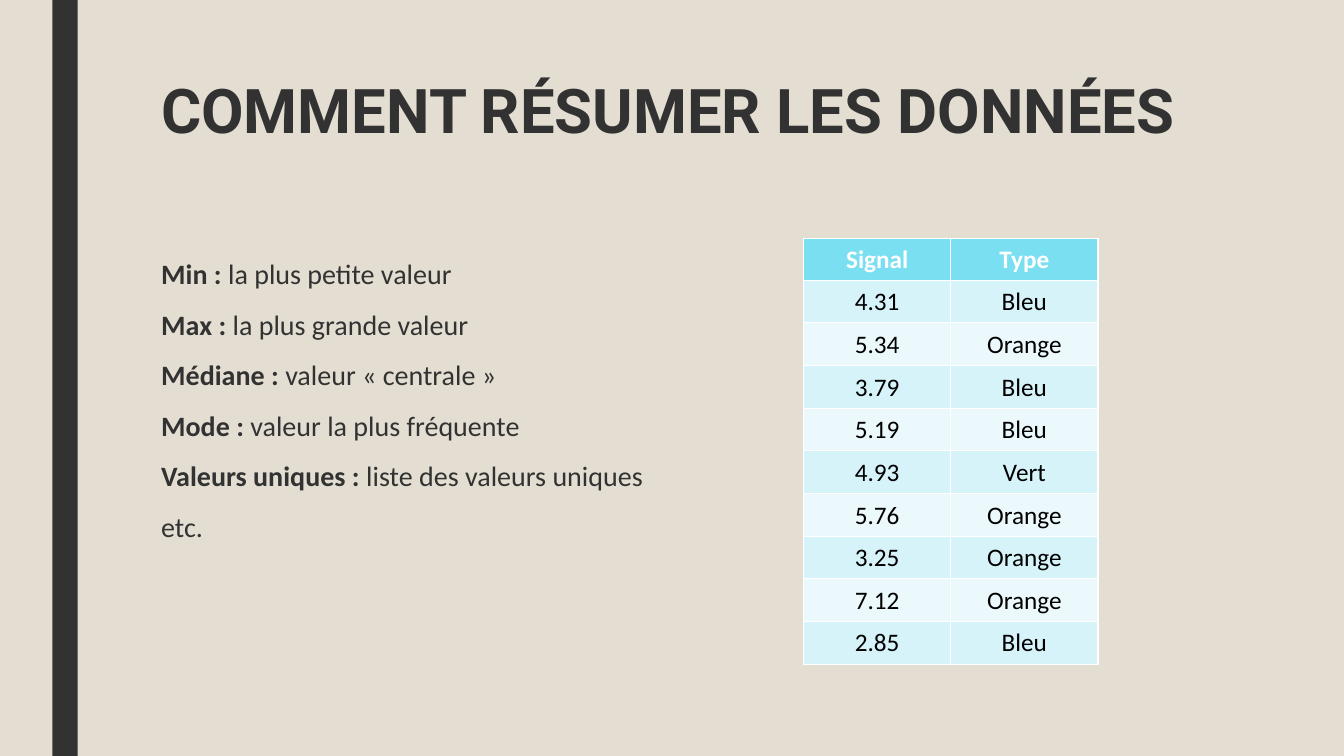
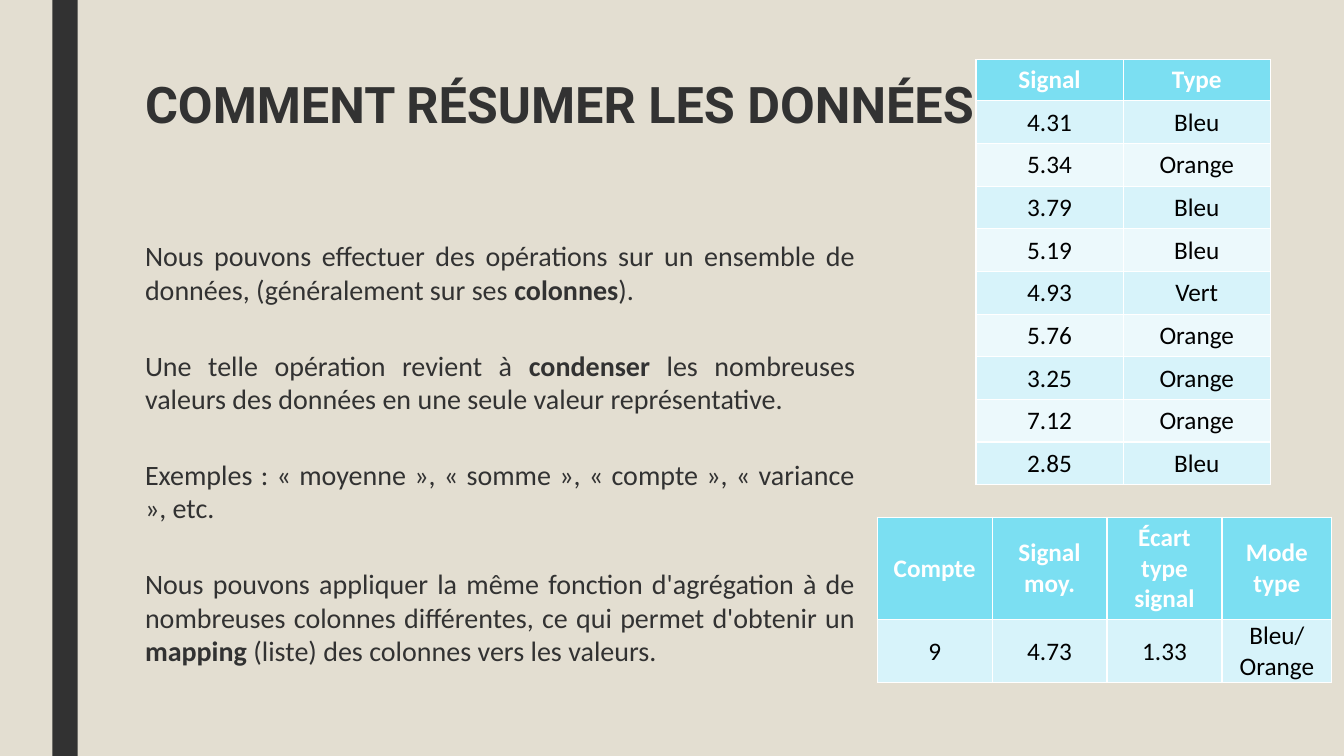
from pptx import Presentation
from pptx.dml.color import RGBColor
from pptx.enum.shapes import MSO_SHAPE
from pptx.enum.text import MSO_ANCHOR, PP_ALIGN
from pptx.util import Inches, Pt

COLORS = {
    "background": "E3DED1",
    "dark": "323232",
    "header": "7BDFF2",
    "odd_row": "D7F3FA",
    "even_row": "ECF9FC",
    "white": "FFFFFF",
    "black": "000000",
}
TITLE = "COMMENT RÉSUMER LES DONNÉES"
SIGNALS = [
    ("Signal", "Type"),
    ("4.31", "Bleu"),
    ("5.34", "Orange"),
    ("3.79", "Bleu"),
    ("5.19", "Bleu"),
    ("4.93", "Vert"),
    ("5.76", "Orange"),
    ("3.25", "Orange"),
    ("7.12", "Orange"),
    ("2.85", "Bleu"),
]
SUMMARY = [
    ("Compte", "Signal\nmoy.", "Écart type signal", "Mode\ntype"),
    ("9", "4.73", "1.33", "Bleu/\nOrange"),
]
SIGNAL_ROW = (4.22 - 0.41) / 9

# Each slide: text boxes, then tables; ** switches bold on and off
SLIDES = [
    {
        "left": 1.5,
        "title_size": 44,
        "body": {"top": 2.5, "width": 5.98, "height": 3.92},
        "paragraph": {"alignment": PP_ALIGN.LEFT, "space_before": Pt(10), "space_after": Pt(2)},
        "texts": [
            "**Min : **la plus petite valeur",
            "**Max : **la plus grande valeur",
            "**Médiane : **valeur « centrale »",
            "**Mode : **valeur la plus fréquente",
            "**Valeurs uniques : **liste des valeurs uniques",
            "etc.",
        ],
        "tables": [(SIGNALS, 7.97, 2.37, [1.46, 1.46], 0.41, SIGNAL_ROW)],
    },
    {
        "left": 1.34,
        "title_size": 36,
        "body": {"top": 2.32, "width": 7.24, "height": 4.74},
        "paragraph": {"alignment": PP_ALIGN.JUSTIFY, "space_before": Pt(28), "space_after": Pt(2)},
        "texts": [
            "Nous pouvons effectuer des opérations sur un ensemble de données, "
            "(généralement sur ses **colonnes**).",
            "Une telle opération revient à **condenser** les nombreuses valeurs "
            "des données en une seule valeur représentative.",
            "Exemples : « moyenne », « somme », « compte », « variance », etc.",
            "Nous pouvons appliquer la même fonction d'agrégation à de nombreuses colonnes "
            "différentes, ce qui permet d'obtenir un **mapping** (liste) des colonnes "
            "vers les valeurs.",
        ],
        "tables": [
            (SIGNALS, 9.68, 0.59, [1.46, 1.46], 0.41, SIGNAL_ROW),
            (SUMMARY, 8.7, 5.13, [1.14, 1.14, 1.14, 1.09], 1.02, 0.62),
        ],
    },
]


def add_text(slide, box, texts, font_name, size, paragraph_format):
    frame = slide.shapes.add_textbox(*[Inches(length) for length in box]).text_frame
    frame.word_wrap = True
    for index, text in enumerate(texts):
        paragraph = frame.add_paragraph() if index else frame.paragraphs[0]
        for name, value in paragraph_format.items():
            setattr(paragraph, name, value)
        if index == 0:
            paragraph.space_before = Pt(0)
        for position, part in enumerate(text.split("**")):
            if part:
                run = paragraph.add_run()
                run.text = part
                font = {"name": font_name, "size": Pt(size), "bold": position % 2 == 1}
                for name, value in font.items():
                    setattr(run.font, name, value)
                run.font.color.rgb = RGBColor.from_string(COLORS["dark"])


def add_data_table(slide, rows, left, top, widths, header_height, row_height):
    table = slide.shapes.add_table(
        len(rows), len(widths), Inches(left), Inches(top), Inches(sum(widths)),
        Inches(header_height + row_height * (len(rows) - 1)),
    ).table
    for column, width in zip(table.columns, widths):
        column.width = Inches(width)
    for row_index, values in enumerate(rows):
        is_header = row_index == 0
        table.rows[row_index].height = Inches(header_height if is_header else row_height)
        fill = "header" if is_header else "odd_row" if row_index % 2 else "even_row"
        for column_index, value in enumerate(values):
            cell = table.cell(row_index, column_index)
            cell.fill.solid()
            cell.fill.fore_color.rgb = RGBColor.from_string(COLORS[fill])
            cell.vertical_anchor = MSO_ANCHOR.MIDDLE
            if not is_header:
                margins = {"margin_left": 0.01, "margin_right": 0.01,
                           "margin_top": 0.01, "margin_bottom": 0}
                for name, length in margins.items():
                    setattr(cell, name, Inches(length))
            paragraph = cell.text_frame.paragraphs[0]
            paragraph.alignment = PP_ALIGN.CENTER
            paragraph.text = value.replace("\n", "\v")
            for run in paragraph.runs:
                font = {"name": "Calibri", "size": Pt(18), "bold": is_header}
                for name, setting in font.items():
                    setattr(run.font, name, setting)
                color = COLORS["white" if is_header else "black"]
                run.font.color.rgb = RGBColor.from_string(color)


presentation = Presentation()
presentation.slide_width = Inches(13.33)
presentation.slide_height = Inches(7.5)

# Shared background
background = presentation.slide_master.background.fill
background.solid()
background.fore_color.rgb = RGBColor.from_string(COLORS["background"])

for content in SLIDES:
    slide = presentation.slides.add_slide(presentation.slide_layouts[6])

    # Vertical band
    band = slide.shapes.add_shape(
        MSO_SHAPE.RECTANGLE, Inches(0.52), 0, Inches(0.25), presentation.slide_height
    )
    band.shadow.inherit = False
    band.fill.solid()
    band.fill.fore_color.rgb = RGBColor.from_string(COLORS["dark"])
    band.line.fill.background()

    # Title and body
    left = content["left"]
    add_text(slide, (left, 0.75, 12 - left, 1.62), [f"**{TITLE}**"], "Roboto",
             content["title_size"], {"line_spacing": 0.89})
    body = content["body"]
    add_text(slide, (left, body["top"], body["width"], body["height"]), content["texts"],
             "Calibri", 20, content["paragraph"])

    # Tables
    for table_values in content["tables"]:
        add_data_table(slide, *table_values)

presentation.save("out.pptx")
